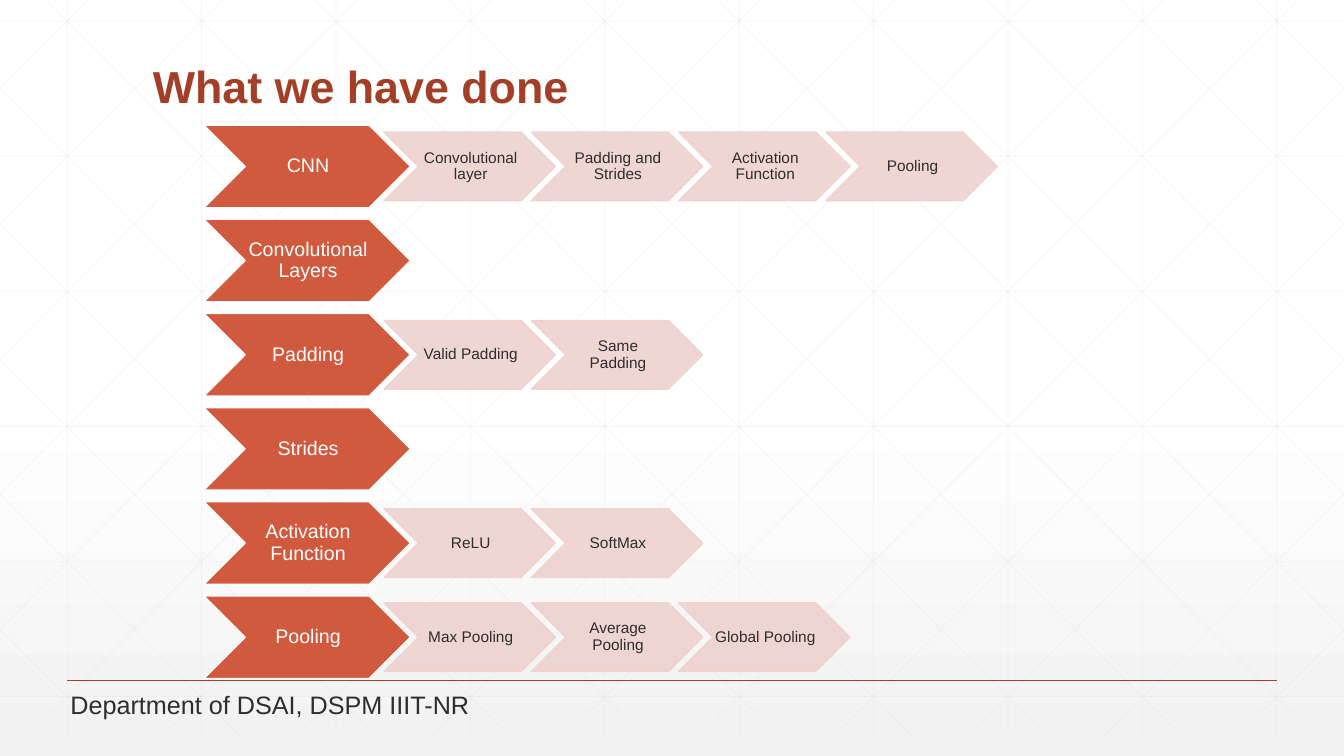
from collections.abc import Iterator
from copy import deepcopy
from dataclasses import dataclass
from typing import NamedTuple

from lxml.etree import SubElement
from pptx import Presentation
from pptx.dml.color import RGBColor as Rgb
from pptx.enum.shapes import MSO_CONNECTOR as Connector, MSO_SHAPE as Preset
from pptx.enum.text import MSO_ANCHOR as Anchor, MSO_AUTO_SIZE as AutoSize, PP_ALIGN as Align
from pptx.oxml.ns import qn
from pptx.shapes.shapetree import GroupShapes, SlideShapes
from pptx.slide import Slide
from pptx.text.text import TextFrame
from pptx.util import Pt

WIDTH, HEIGHT = 960, 540


@dataclass(frozen=True)
class Theme:
    font: str = "Arial"
    accent: str = "A43F27"
    stage: str = "D15A3E"
    step: str = "EED2CE"
    white: str = "FFFFFF"
    shade: str = "F2F2F2"
    grid: str = "D9D9D9"
    ink: str = "2D2E2D"
    title_size: int = 32
    footer_size: int = 18
    stage_size: int = 14
    step_size: int = 11


@dataclass(frozen=True)
class ChevronStyle:
    width: float
    height: float
    fill: str
    line: str
    ink: str
    text_size: int
    opacity: int = 100


class Track(NamedTuple):
    stage: str
    steps: tuple[str, ...] = ()


class Segment(NamedTuple):
    x1: float
    y1: float
    x2: float
    y2: float


THEME = Theme()
STAGE = ChevronStyle(147.6, 59, THEME.stage, THEME.white, THEME.white, THEME.stage_size)
STEP = ChevronStyle(122.4, 49, THEME.step, THEME.step, THEME.ink, THEME.step_size, 90)

STAGE_LEFT, STEP_LEFT, STEP_PITCH = 145.6, 274.4, 105.2
TRACK_TOP, TRACK_PITCH = 89.4, 67.25

TRACKS = (
    Track("CNN", ("Convolutional layer", "Padding and Strides", "Activation Function", "Pooling")),
    Track("Convolutional Layers"),
    Track("Padding", ("Valid Padding", "Same Padding")),
    Track("Strides"),
    Track("Activation Function", ("ReLU", "SoftMax")),
    Track("Pooling", ("Max Pooling", "Average Pooling", "Global Pooling")),
)

GRID_TOP, GRID_BOTTOM = -15, 525
GRID_PITCH, ROW_PITCH = 96, 96.5
DIAGONAL_START, DIAGONAL_RUN = 18, 537


def color(code: str) -> Rgb:
    return Rgb.from_string(code)


def set_opacity(fill_owner, percent: int) -> None:
    for rgb in fill_owner.iter(qn("a:srgbClr")):
        SubElement(rgb, qn("a:alpha"), val=str(percent * 1000))


def set_text(frame: TextFrame, text: str, size: int, ink: str, bold: bool = False) -> None:
    frame.text = text
    frame.word_wrap = True
    font = frame.paragraphs[0].font
    font.name, font.size, font.bold = THEME.font, Pt(size), bold
    font.color.rgb = color(ink)


def paint_background(slide: Slide) -> None:
    """Stay white down to the middle, then fade to the shade."""
    fill = slide.background.fill
    fill.gradient()
    fill.gradient_angle = 270
    middle, end = fill.gradient_stops
    middle.color.rgb, middle.position = color(THEME.white), 0.53
    end.color.rgb, end.position = color(THEME.shade), 1
    stops = next(slide.background._cSld.iter(qn("a:gsLst")))
    start = deepcopy(stops[0])
    start.set("pos", "0")
    stops.insert(0, start)


def draw_line(shapes: SlideShapes | GroupShapes, segment: Segment, code: str,
              weight: float, opacity: int = 100) -> None:
    connector = shapes.add_connector(Connector.STRAIGHT, *map(Pt, segment))
    connector.line.color.rgb = color(code)
    connector.line.width = Pt(weight)
    properties = connector._element.spPr
    if opacity < 100:
        set_opacity(properties, opacity)
    SubElement(properties, qn("a:effectLst"))


def grid_segments() -> Iterator[Segment]:
    """Yield columns, rows and mirrored diagonals cut at the slide's sides."""
    for column in range(10):
        x = 48 + column * GRID_PITCH
        yield Segment(x, GRID_TOP, x, GRID_BOTTOM)
    for row in range(6):
        y = 15 + row * ROW_PITCH
        yield Segment(0, y, WIDTH, y)
    slope = (GRID_BOTTOM - GRID_TOP) / DIAGONAL_RUN
    for index in range(-5, 10):
        start = DIAGONAL_START + index * GRID_PITCH
        left, right = max(0, start), min(WIDTH, start + DIAGONAL_RUN)
        y1, y2 = (GRID_TOP + (x - start) * slope for x in (left, right))
        yield Segment(left, y1, right, y2)
        yield Segment(WIDTH - left, y1, WIDTH - right, y2)


def draw_chevron(shapes: GroupShapes, text: str, left: float, middle: float,
                 style: ChevronStyle) -> None:
    chevron = shapes.add_shape(Preset.CHEVRON, Pt(left), Pt(middle - style.height / 2),
                               Pt(style.width), Pt(style.height))
    chevron.shadow.inherit = False
    chevron.fill.solid()
    chevron.fill.fore_color.rgb = color(style.fill)
    chevron.line.color.rgb = color(style.line)
    chevron.line.width = Pt(1)
    if style.opacity < 100:
        set_opacity(chevron._element.spPr, style.opacity)
    frame = chevron.text_frame
    set_text(frame, text, style.text_size, style.ink)
    frame.vertical_anchor = Anchor.MIDDLE
    frame.margin_left, frame.margin_right = Pt(1.4), Pt(0)
    frame.margin_top = frame.margin_bottom = Pt(0.7)
    frame.paragraphs[0].alignment = Align.CENTER
    frame.paragraphs[0].line_spacing = 0.9


def draw_tracks(shapes: GroupShapes) -> None:
    for row, track in enumerate(TRACKS):
        middle = TRACK_TOP + row * TRACK_PITCH + STAGE.height / 2
        draw_chevron(shapes, track.stage, STAGE_LEFT, middle, STAGE)
        for column, step in enumerate(track.steps):
            draw_chevron(shapes, step, STEP_LEFT + column * STEP_PITCH, middle, STEP)


def place_title(slide: Slide, text: str) -> None:
    title = slide.shapes.title
    title.left, title.top, title.width, title.height = map(Pt, (102, 39.6, 756, 44.6))
    frame = title.text_frame
    set_text(frame, text, THEME.title_size, THEME.accent, bold=True)
    frame.auto_size = AutoSize.NONE
    frame.vertical_anchor = Anchor.BOTTOM
    frame.paragraphs[0].alignment = Align.LEFT
    frame.paragraphs[0].line_spacing = 0.9
    slide.shapes._spTree.append(title._element)


def draw_footer(shapes: SlideShapes, text: str) -> None:
    footer = shapes.add_textbox(*map(Pt, (43.2, 488.9, 670.3, 29.1)))
    set_text(footer.text_frame, text, THEME.footer_size, THEME.ink)
    footer.text_frame.auto_size = AutoSize.SHAPE_TO_FIT_TEXT


def main() -> None:
    deck = Presentation()
    deck.slide_width, deck.slide_height = Pt(WIDTH), Pt(HEIGHT)
    slide = deck.slides.add_slide(deck.slide_layouts[5])
    paint_background(slide)
    grid = slide.shapes.add_group_shape().shapes
    for segment in grid_segments():
        draw_line(grid, segment, THEME.grid, 0.5, opacity=25)
    draw_line(slide.shapes, Segment(48, 486, 912, 486), THEME.accent, 1)
    place_title(slide, "What we have done")
    draw_tracks(slide.shapes.add_group_shape().shapes)
    draw_footer(slide.shapes, "Department of DSAI, DSPM IIIT-NR")
    deck.save("out.pptx")


if __name__ == "__main__":
    main()
